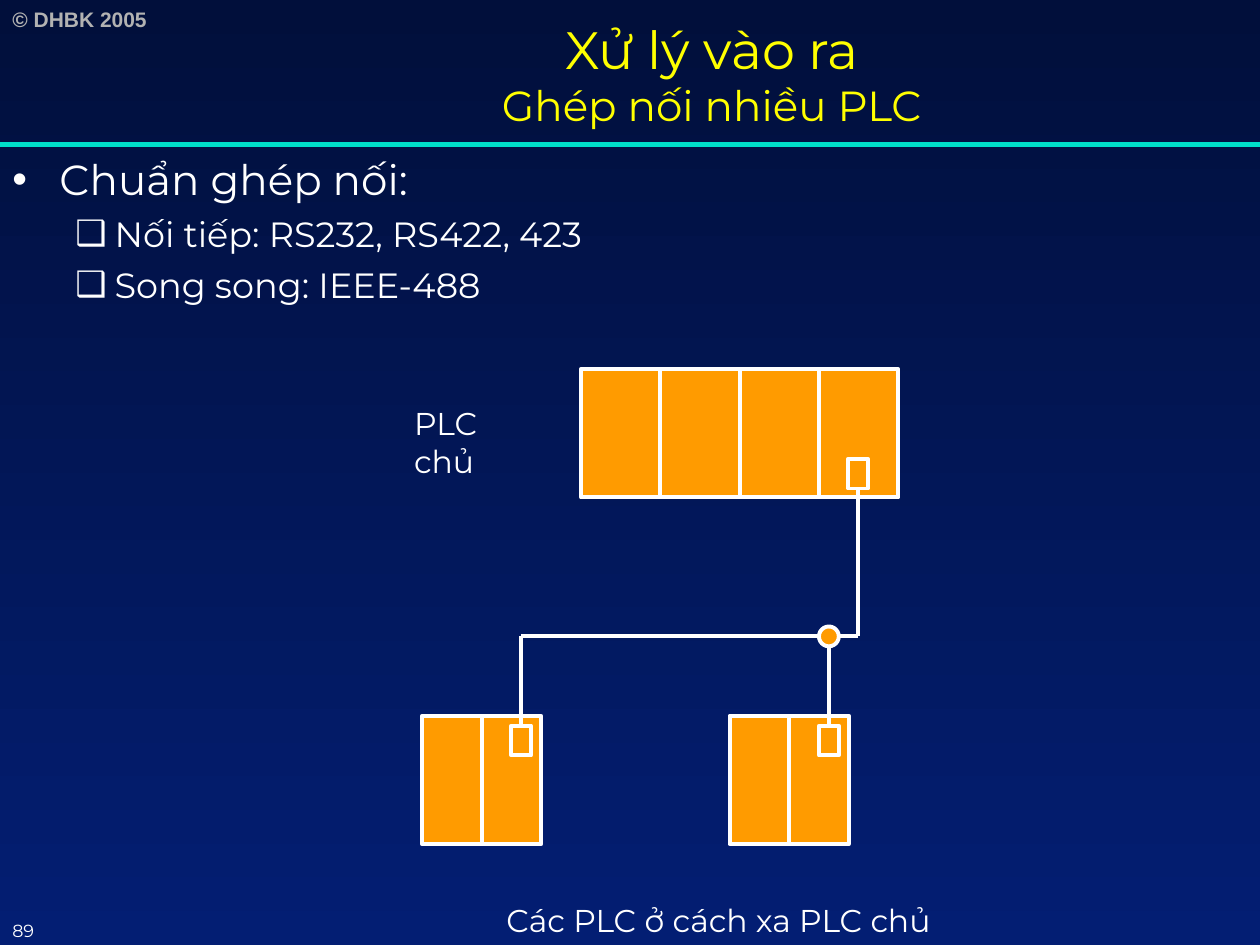
from dataclasses import dataclass

import lxml.etree
import pptx
import pptx.dml.color
import pptx.enum.shapes
import pptx.enum.text
import pptx.oxml.ns
import pptx.util

Cm = pptx.util.Cm
Pt = pptx.util.Pt
SHAPE = pptx.enum.shapes.MSO_SHAPE
STRAIGHT = pptx.enum.shapes.MSO_CONNECTOR.STRAIGHT


@dataclass(frozen=True)
class Theme:
    """Colours, fonts and sizes of the slide."""
    sky: str = "010F3B"
    deep: str = "031E73"
    rule: str = "00DFCA"
    title: str = "FFFF00"
    white: str = "FFFFFF"
    grey: str = "B2B2B2"
    module: str = "FF9B00"
    font: str = "Montserrat"
    mark_font: str = "Arial"
    title_size: int = 30
    heading_size: int = 24
    item_size: int = 20
    label_size: int = 18
    mark_size: int = 12
    number_size: int = 10
    outline: float = 2.25
    rule_width: float = 3


THEME = Theme()


def rgb(code):
    """Turn a hex code into a colour."""
    return pptx.dml.color.RGBColor.from_string(code)


def style(paragraph, size, color=THEME.white, name=THEME.font, bold=False):
    """Set the font of a whole paragraph."""
    font = paragraph.font
    font.size, font.name, font.bold = Pt(size), name, bold
    font.color.rgb = rgb(color)


def add_text(page, area, text, size, **look):
    """Place a wrapping one-paragraph text box and return its frame."""
    frame = page.shapes.add_textbox(*map(Cm, area)).text_frame
    frame.word_wrap = True
    frame.text = text
    style(frame.paragraphs[0], size, **look)
    return frame


def add_line(page, start, end, color=THEME.white, width=THEME.outline):
    """Draw a straight connector without shadow between two points."""
    line = page.shapes.add_connector(STRAIGHT, *map(Cm, start + end))
    line.line.color.rgb = rgb(color)
    line.line.width = Pt(width)
    properties = line._element.spPr
    lxml.etree.SubElement(properties, pptx.oxml.ns.qn("a:effectLst"))
    return line


def add_block(page, area, kind=SHAPE.RECTANGLE):
    """Draw an outlined orange shape."""
    block = page.shapes.add_shape(kind, *map(Cm, area))
    block.shadow.inherit = False
    block.fill.solid()
    block.fill.fore_color.rgb = rgb(THEME.module)
    block.line.color.rgb = rgb(THEME.white)
    block.line.width = Pt(THEME.outline)
    return block


def paint_background(page):
    """Fill the page with a top-to-bottom gradient."""
    fill = page.background.fill
    fill.gradient()
    fill.gradient_angle = 270
    for stop, color in zip(fill.gradient_stops, (THEME.sky, THEME.deep)):
        stop.color.rgb = rgb(color)


def add_header(page, left, top, width, height):
    """Place the copyright mark, the two-line title and the rule."""
    add_text(page, (left, top, 3.9, 0.77), "© DHBK 2005", THEME.mark_size,
             color=THEME.grey, name=THEME.mark_font, bold=True)
    inset = 3.3
    frame = add_text(page, (left + inset, top, width - inset, height),
                     "Xử lý vào ra", THEME.title_size, color=THEME.title)
    frame.vertical_anchor = pptx.enum.text.MSO_ANCHOR.MIDDLE
    paragraph = frame.paragraphs[0]
    paragraph.alignment = pptx.enum.text.PP_ALIGN.CENTER
    paragraph.add_line_break()
    subtitle = paragraph.add_run()
    subtitle.text = "Ghép nối nhiều PLC"
    subtitle.font.size = Pt(THEME.heading_size)
    rule_top = top + 2.92
    add_line(page, (left, rule_top), (left + width, rule_top),
             THEME.rule, THEME.rule_width)


def add_bullet(paragraph, mark, margin, hang):
    """Give a paragraph a hanging bullet."""
    properties = paragraph._p.get_or_add_pPr()
    properties.set("marL", str(Cm(margin)))
    properties.set("indent", str(-Cm(hang)))
    qn = pptx.oxml.ns.qn
    lxml.etree.SubElement(properties, qn("a:buFont"), typeface=THEME.mark_font)
    lxml.etree.SubElement(properties, qn("a:buChar"), char=mark)


def add_standards(page, left, top, width, height):
    """Place the bulleted list of link standards."""
    box = page.shapes.add_textbox(*map(Cm, (left, top, width, height)))
    frame = box.text_frame
    frame.word_wrap = True
    heading = frame.paragraphs[0]
    heading.text = "Chuẩn ghép nối:"
    add_bullet(heading, "•", 0.95, 0.95)
    style(heading, THEME.heading_size)
    for text in ("Nối tiếp: RS232, RS422, 423", "Song song: IEEE-488"):
        item = frame.add_paragraph()
        item.text = text
        item.level = 1
        add_bullet(item, "❑", 2.06, 0.79)
        item.space_before = Pt(5)
        style(item, THEME.item_size)


def add_rack(page, left, top, width, height, modules, port_at):
    """Draw a row of equal modules and return the port on the last one."""
    step = width / modules
    for index in range(modules):
        add_block(page, (left + index * step, top, step, height))
    port_x, port_y = port_at
    port_width, port_height = 0.4, 0.6
    return add_block(page, (left + port_x - port_width / 2, top + port_y,
                            port_width, port_height))


def add_network(page, left, top, width, height):
    """Draw the master PLC linked to two remote PLCs."""
    rack_height, remote_width, port_x = 2.59, 2.4, 2
    bus_y = top + 5.39
    remote_top = top + height - rack_height
    right = left + width - remote_width
    master_left, master_port_x = left + 3.2, 5.59
    master_port = add_rack(page, master_left, top, 6.4, rack_height, 4,
                           (master_port_x, 1.81))
    remote_ports = [add_rack(page, x, remote_top, remote_width, rack_height, 2,
                             (port_x, 0.2)) for x in (left, right)]
    master_x = master_left + master_port_x
    left_x, node_x = left + port_x, right + port_x
    add_line(page, (left_x, bus_y), (master_x, bus_y))
    drops = [(master_x, master_port, 2), (left_x, remote_ports[0], 0),
             (node_x, remote_ports[1], 0)]
    for x, port, side in drops:
        drop = add_line(page, (x, bus_y), (x, bus_y + 1))
        drop.end_connect(port, side)
    size = 0.4
    add_block(page, (node_x - size / 2, bus_y - size / 2, size, size),
              SHAPE.OVAL)
    add_text(page, (left - 0.41, top + 0.59, 2.87, 1.8), "PLC chủ",
             THEME.label_size)
    add_text(page, (left + 1.45, top + 10.59, 10.5, 1.02),
             "Các PLC ở cách xa PLC chủ", THEME.label_size)


def main():
    """Build and save the slide."""
    deck = pptx.Presentation()
    deck.slide_width, deck.slide_height = Cm(25.4), Cm(19.05)
    page = deck.slides.add_slide(deck.slide_layouts[6])
    paint_background(page)
    add_header(page, 0, 0, 25.4, 2.97)
    add_standards(page, 0, 2.97, 25.4, 16.08)
    add_network(page, 8.51, 7.44, 8.6, 9.58)
    add_text(page, (0, 18.42, 1.7, 0.63), "89", THEME.number_size)
    deck.save("out.pptx")


if __name__ == "__main__":
    main()
